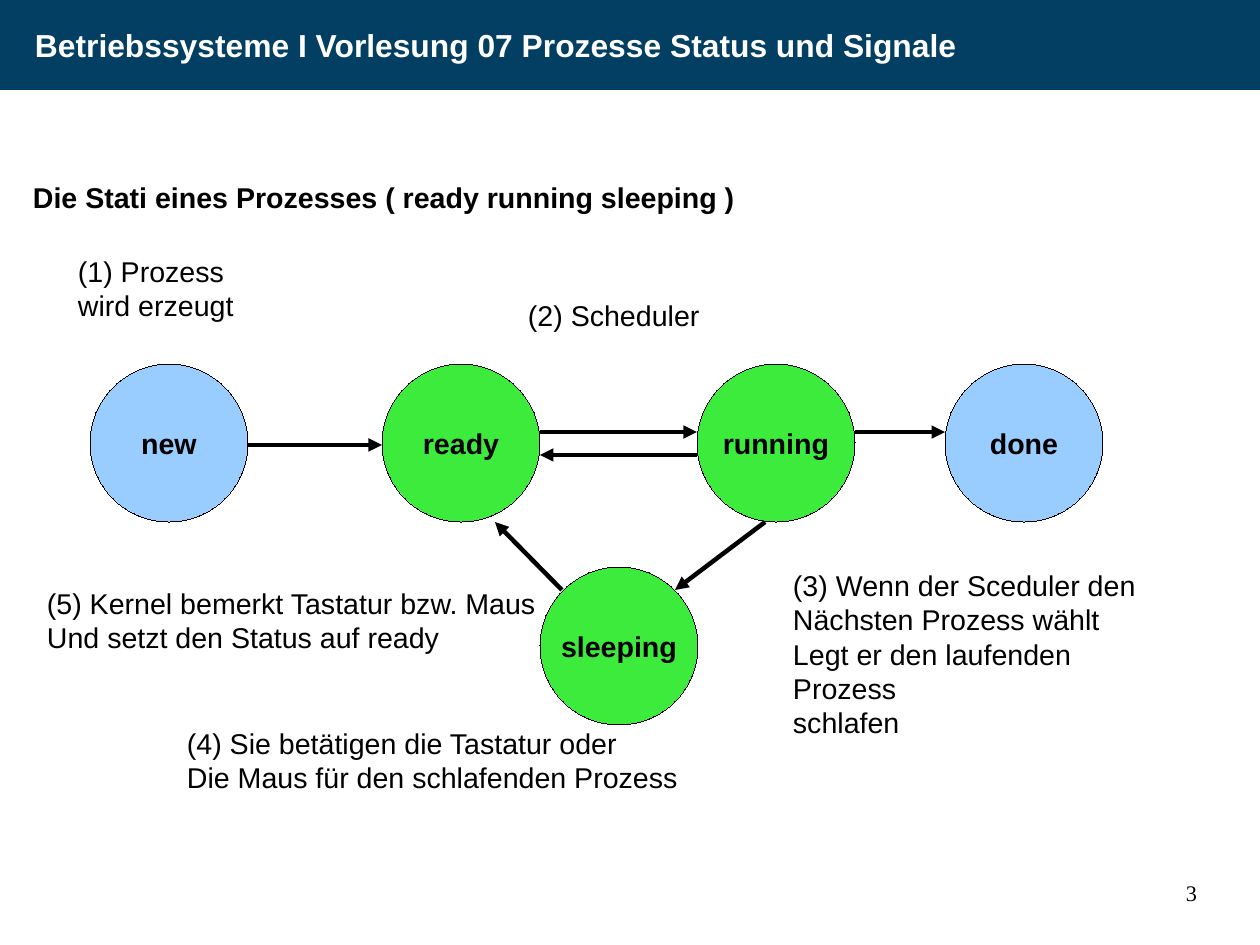
from lxml.etree import SubElement as Sub
from pptx import Presentation
from pptx.dml.color import RGBColor as Rgb
from pptx.enum.shapes import MSO_CONNECTOR as Conn, MSO_SHAPE as Kind
from pptx.enum.text import (MSO_ANCHOR as Anchor, MSO_AUTO_SIZE as Auto,
                            PP_ALIGN as Align)
from pptx.oxml.ns import qn
from pptx.util import Emu, Pt

SCALE = 8000
WHITE, BLACK = "FFFFFF", "000000"
NAVY, BLUE, GREEN = "023F62", "99CCFF", "3DEB3D"
SIDE = 158

STATES = [
    ("new", 90, 364, BLUE),
    ("ready", 382, 364, GREEN),
    ("running", 697, 364, GREEN),
    ("sleeping", 540, 567, GREEN),
    ("done", 945, 364, BLUE),
]
ARROWS = [
    (248, 445, 382, 445),
    (540, 432, 697, 432),
    (697, 455, 540, 455),
    (765, 522, 675, 590),
    (562, 590, 495, 522),
    (855, 432, 945, 432),
]
NOTES = [
    ("(1) Prozess\nwird erzeugt", 67, 248, 178, 75),
    ("(2) Scheduler", 517, 292, 239, 75),
    ("(3) Wenn der Sceduler den\nNächsten Prozess wählt\n"
     "Legt er den laufenden Prozess\nschlafen", 782, 562, 411, 139),
    ("(4) Sie betätigen die Tastatur oder\n"
     "Die Maus für den schlafenden Prozess", 176, 720, 513, 75),
    ("(5) Kernel bemerkt Tastatur bzw. Maus\n"
     "Und setzt den Status auf ready", 36, 580, 511, 75),
]


def px(num):
    return Emu(num * SCALE)


def tint(code):
    return Rgb.from_string(code)


def write(shape, text, size=18, bold=False, color=BLACK, face="Arial",
          align=Align.LEFT, wrap=False, pad=(11, 6, 11, 6), fit=Auto.NONE):
    frame = shape.text_frame
    frame.text = text
    frame.word_wrap = wrap
    frame.auto_size = fit
    (frame.margin_left, frame.margin_top,
     frame.margin_right, frame.margin_bottom) = map(px, pad)
    for para in frame.paragraphs:
        para.alignment = align
        for run in para.runs:
            font = run.font
            font.name, font.size, font.bold = face, Pt(size), bold
            font.color.rgb = tint(color)
    return frame


def label(slide, text, left, top, width, height, **style):
    box = slide.shapes.add_textbox(*map(px, (left, top, width, height)))
    return write(box, text, **style)


def block(slide, kind, text, left, top, width, height, fill, edge, **style):
    shape = slide.shapes.add_shape(kind, *map(px, (left, top, width, height)))
    shape.shadow.inherit = False
    shape.fill.solid()
    shape.fill.fore_color.rgb = tint(fill)
    shape.line.color.rgb = tint(edge)
    shape.line._get_or_add_ln().set("w", "0")
    write(shape, text, bold=True, **style).vertical_anchor = Anchor.MIDDLE


def state(slide, name, left, top, fill):
    block(slide, Kind.OVAL, name, left, top, SIDE, SIDE, fill, BLACK,
          align=Align.CENTER)


def arrow(slide, *ends):
    link = slide.shapes.add_connector(Conn.STRAIGHT, *map(px, ends))
    link.line.color.rgb = tint(BLACK)
    link.line.width = Pt(2.83)
    Sub(link.line._get_or_add_ln(), qn("a:tailEnd"), type="triangle")
    Sub(link._element.spPr, qn("a:effectLst"))


def main():
    deck = Presentation()
    deck.slide_width, deck.slide_height = px(1260), px(945)
    slide = deck.slides.add_slide(deck.slide_layouts[6])

    block(slide, Kind.RECTANGLE,
          "Betriebssysteme I Vorlesung 07 Prozesse Status und Signale",
          0, 0, 1260, 90, NAVY, NAVY, size=20, color=WHITE,
          pad=(35, 0, 0, 0))
    head = label(slide, "Die Stati eines Prozesses ( ready running sleeping )",
                 22, 157, 1170, 696, bold=True, wrap=True)
    head.paragraphs[0].line_spacing = 1.5

    for item in STATES:
        state(slide, *item)
    for ends in ARROWS:
        arrow(slide, *ends)
    for note in NOTES:
        label(slide, *note, fit=Auto.SHAPE_TO_FIT_TEXT)

    label(slide, "3", 903, 879, 294, 65, size=14, face="Times New Roman",
          align=Align.RIGHT, wrap=True, pad=(0, 0, 0, 0))
    deck.save("out.pptx")


if __name__ == "__main__":
    main()
